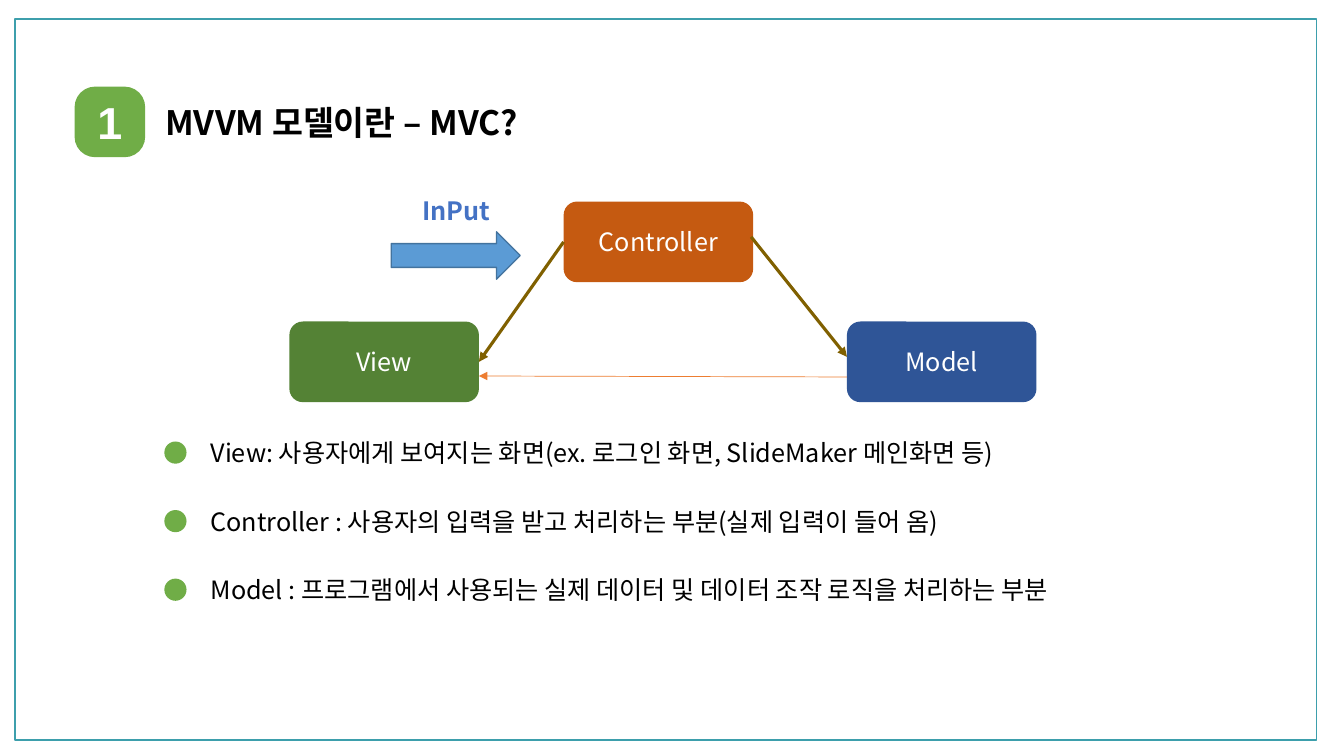
import pptx
import pptx.util
import pptx.dml.color
import pptx.enum.shapes
import pptx.enum.text
import pptx.oxml
import pptx.oxml.ns

Inches = pptx.util.Inches
Pt = pptx.util.Pt
SHAPE = pptx.enum.shapes.MSO_SHAPE
ALIGN = pptx.enum.text.PP_ALIGN
ANCHOR = pptx.enum.text.MSO_ANCHOR

COLORS = {
    "black": "000000",
    "white": "FFFFFF",
    "frame": "3D9FAC",
    "accent": "70AD47",
    "view": "548235",
    "controller": "C55A11",
    "model": "2F5597",
    "control_line": "806000",
    "update_line": "ED7D31",
    "input_fill": "5B9BD5",
    "input_line": "43739E",
    "input_text": "4472C4",
}


def write_text(box, text, size=18, color="black", bold=False, font="Noto Sans CJK KR",
               align=ALIGN.LEFT, anchor=ANCHOR.TOP):
    frame = box.text_frame
    frame.word_wrap = True
    frame.vertical_anchor = anchor
    para = frame.paragraphs[0]
    para.alignment = align
    span = para.add_run()
    span.text = text
    span.font.size = Pt(size)
    span.font.bold = bold
    span.font.name = font
    span.font.color.rgb = pptx.dml.color.RGBColor.from_string(COLORS[color])
    east_asian = pptx.oxml.parse_xml(f'<a:ea {pptx.oxml.ns.nsdecls("a")} typeface="{font}"/>')
    span.font._element.find(pptx.oxml.ns.qn("a:latin")).addnext(east_asian)


def draw_shape(kind, left, top, width, height, fill=None, line=None):
    shape = page.shapes.add_shape(kind, Inches(left), Inches(top), Inches(width), Inches(height))
    shape.shadow.inherit = False
    if fill:
        shape.fill.solid()
        shape.fill.fore_color.rgb = pptx.dml.color.RGBColor.from_string(COLORS[fill])
    else:
        shape.fill.background()
    if line:
        shape.line.color.rgb = pptx.dml.color.RGBColor.from_string(COLORS[line])
        shape.line.width = Pt(1)
    else:
        shape.line.fill.background()
    return shape


deck = pptx.Presentation()
deck.slide_width = Inches(13.33)
deck.slide_height = Inches(7.5)
page = deck.slides.add_slide(deck.slide_layouts[6])

draw_shape(SHAPE.RECTANGLE, 0.15, 0.19, 12.91, 7.15, line="frame")

badge = draw_shape(SHAPE.ROUNDED_RECTANGLE, 0.74, 0.86, 0.7, 0.7, fill="accent")
badge.adjustments[0] = 0.29
write_text(badge, "1", size=32, color="white", bold=True, font="Arial",
           align=ALIGN.CENTER, anchor=ANCHOR.MIDDLE)

title = page.shapes.add_textbox(Inches(1.54), Inches(0.96), Inches(6.06), Inches(0.5))
write_text(title, "MVVM 모델이란 – MVC?", size=24, bold=True)

roles = {}
for name, left, top in [("View", 2.87, 3.19), ("Controller", 5.59, 2), ("Model", 8.4, 3.19)]:
    roles[name] = draw_shape(SHAPE.ROUNDED_RECTANGLE, left, top, 1.88, 0.8, fill=name.lower())
    write_text(roles[name], name, color="white", align=ALIGN.CENTER, anchor=ANCHOR.MIDDLE)

arrows = []
for start_x, start_y, end_x, end_y, color, width in [
    (5.59, 2.4, 4.75, 3.59, "control_line", 2.25),
    (7.45, 2.35, 8.4, 3.54, "control_line", 2.25),
    (8.4, 3.74, 4.75, 3.73, "update_line", 0.5),
]:
    arrow = page.shapes.add_connector(
        pptx.enum.shapes.MSO_CONNECTOR.STRAIGHT,
        Inches(start_x), Inches(start_y), Inches(end_x), Inches(end_y))
    arrow.line.color.rgb = pptx.dml.color.RGBColor.from_string(COLORS[color])
    arrow.line.width = Pt(width)
    namespace = pptx.oxml.ns.nsdecls("a")
    arrow.line._get_or_add_ln().append(
        pptx.oxml.parse_xml(f'<a:tailEnd {namespace} type="triangle"/>'))
    arrow._element.spPr.append(pptx.oxml.parse_xml(f"<a:effectLst {namespace}/>"))
    arrows.append(arrow)
arrows[0].begin_connect(roles["Controller"], 1)
arrows[0].end_connect(roles["View"], 3)

draw_shape(SHAPE.RIGHT_ARROW, 3.88, 2.3, 1.28, 0.47, fill="input_fill", line="input_line")
input_label = page.shapes.add_textbox(Inches(4.09), Inches(1.89), Inches(1.2), Inches(0.4))
write_text(input_label, "InPut", color="input_text", bold=True)

descriptions = [
    "View: 사용자에게 보여지는 화면(ex. 로그인 화면, SlideMaker 메인화면 등)",
    "Controller : 사용자의 입력을 받고 처리하는 부분(실제 입력이 들어 옴)",
    "Model : 프로그램에서 사용되는 실제 데이터 및 데이터 조작 로직을 처리하는 부분",
]
for index, description in enumerate(descriptions):
    top = 4.29 + 0.68 * index
    draw_shape(SHAPE.OVAL, 1.63, top + 0.09, 0.22, 0.22, fill="accent")
    box = page.shapes.add_textbox(Inches(1.99), Inches(top), Inches(10.28), Inches(0.4))
    write_text(box, description)

deck.save("out.pptx")
